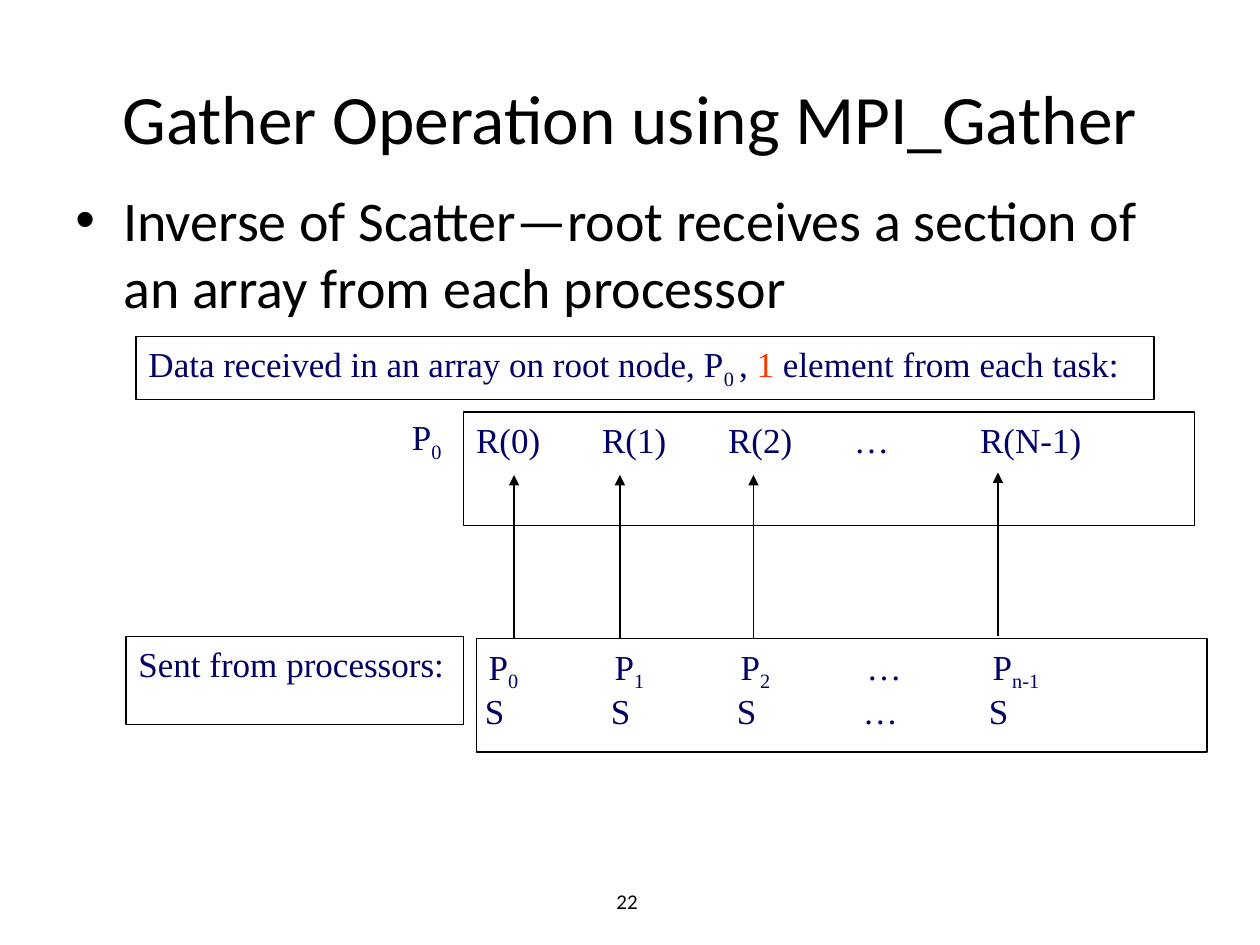
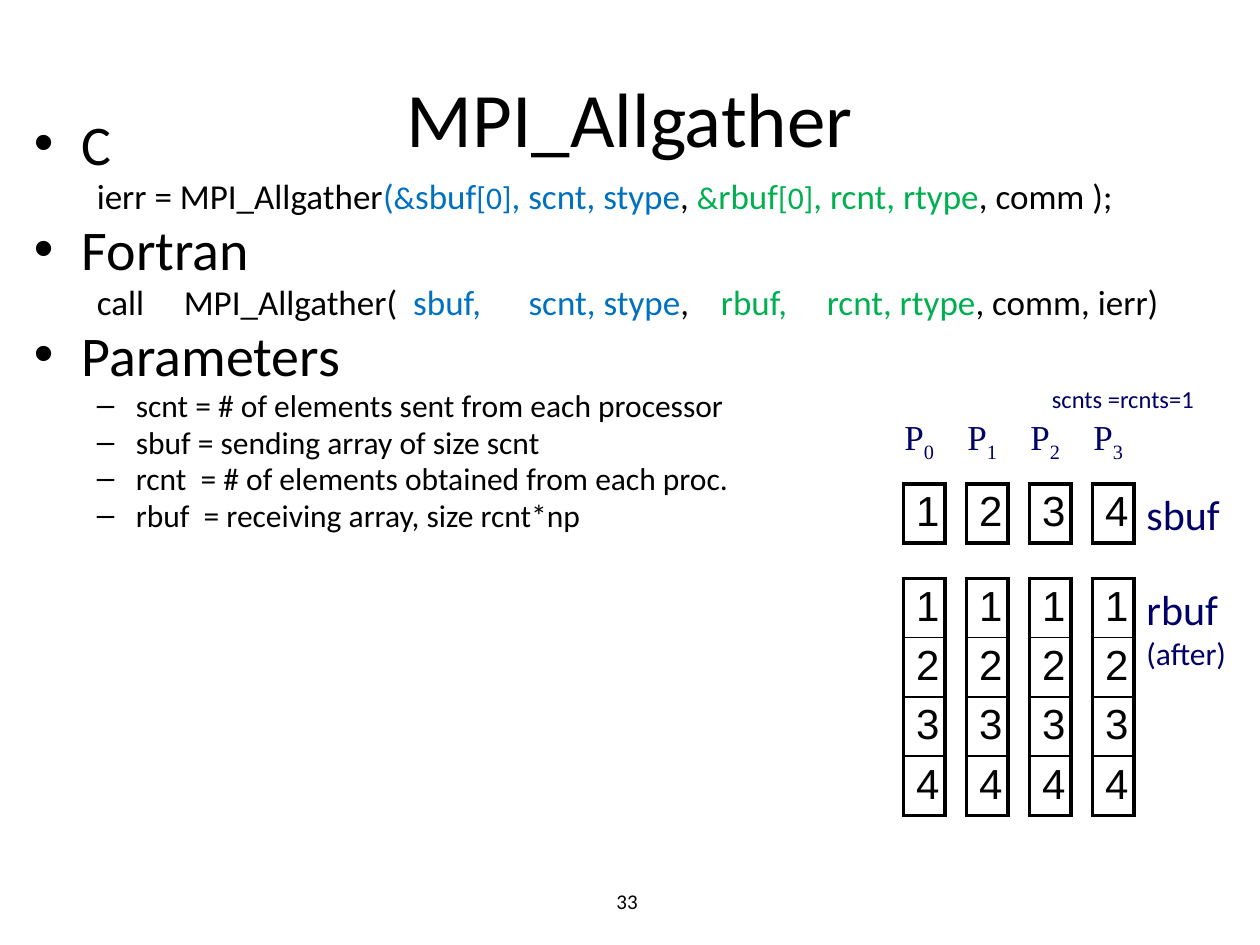
"""Builds two slides on the MPI gather and allgather operations."""
import pptx
import pptx.dml.color
import pptx.enum.shapes
import pptx.enum.text
import pptx.oxml
import pptx.oxml.ns
import pptx.util
from pptx.util import Inches

COLORS = {"ink": "000000", "paper": "FFFFFF", "navy": "000066",
          "red": "FF3300", "send": "0070C0", "receive": "00B050"}
BODY = {"name": "Calibri", "size": 32, "color": "ink"}
CODE = {**BODY, "size": 20}
DETAIL = {**BODY, "size": 18}
DIAGRAM = {"name": "Times New Roman", "size": 20, "color": "navy"}
LABEL = {"name": "Calibri", "size": 24, "color": "navy"}
DIGIT = {"name": "Arial", "size": 24, "color": "ink"}
NUMBER = {"name": "Calibri", "size": 12, "color": "ink"}
SUB = {"baseline": "-25000"}
SEND, RECEIVE = {"color": "send"}, {"color": "receive"}
NARROW, MEDIUM, WIDE, WIDEST = [(" ", {"spc": str(452 * extra)}) for extra in (1, 3, 4, 5)]
NS = pptx.oxml.ns.nsdecls("a")
ALIGN = pptx.enum.text.PP_ALIGN
ANCHOR = pptx.enum.text.MSO_ANCHOR
RGB = pptx.dml.color.RGBColor.from_string


def write(paragraph, style, *pieces):
    """Adds runs; a piece is a string or a (string, changes) pair."""
    for piece in pieces:
        words, changes = (piece, {}) if isinstance(piece, str) else piece
        look = {**style, **changes}
        run = paragraph.add_run()
        run.text = words
        for key, value in {"name": look["name"], "size": pptx.util.Pt(look["size"])}.items():
            setattr(run.font, key, value)
        run.font.color.rgb = RGB(COLORS[look["color"]])
        for key in ("baseline", "spc"):
            if key in look:
                run._r.get_or_add_rPr().set(key, look[key])


def add_box(slide, at, framed=False):
    """Adds a text box, or a white box with a thin outline."""
    place = [Inches(length) for length in at]
    if framed:
        box = slide.shapes.add_shape(pptx.enum.shapes.MSO_SHAPE.RECTANGLE, *place)
        box.shadow.inherit = False
        box.fill.solid()
        box.fill.fore_color.rgb = RGB(COLORS["paper"])
        box.line.color.rgb = RGB(COLORS["ink"])
        box.line.width = pptx.util.Pt(0.75)
    else:
        box = slide.shapes.add_textbox(*place)
    frame = box.text_frame
    for key, value in {"word_wrap": True, "vertical_anchor": ANCHOR.TOP}.items():
        setattr(frame, key, value)
    frame.paragraphs[0].alignment = ALIGN.LEFT
    return frame


deck = pptx.Presentation()
deck.slide_width, deck.slide_height = Inches(10), Inches(7.5)

slides = []
for heading, size, number in [("Gather Operation using MPI_Gather", 39.6, "22"),
                              ("MPI_Allgather", 44, "33")]:
    slide = deck.slides.add_slide(deck.slide_layouts[5])
    title = slide.shapes.title
    for key, value in {"left": 0.5, "top": 0.3, "width": 9, "height": 1.25}.items():
        setattr(title, key, Inches(value))
    for key, value in {"word_wrap": True, "vertical_anchor": ANCHOR.MIDDLE,
                       "auto_size": pptx.enum.text.MSO_AUTO_SIZE.NONE}.items():
        setattr(title.text_frame, key, value)
    title.text_frame.paragraphs[0].alignment = ALIGN.CENTER
    write(title.text_frame.paragraphs[0], {**BODY, "size": size}, heading)
    page = add_box(slide, (2.83, 6.95, 2.33, 0.4))
    page.vertical_anchor = ANCHOR.MIDDLE
    page.paragraphs[0].alignment = ALIGN.RIGHT
    write(page.paragraphs[0], NUMBER, number)
    slides.append(slide)
gather, allgather = slides

gather_body = [
    (BODY, 0.38, -0.38, "•", ["Inverse of Scatter—root receives a section of an array from each processor"]),
]
allgather_body = [
    (BODY, 0.38, -0.38, "•", ["C"]),
    (CODE, 0.81, -0.31, None, [
        "ierr = MPI_Allgather", ("(", SEND), ("&", {**SEND, "size": 18}), ("sbuf", SEND),
        ("[0]", {**SEND, "size": 18}), (", scnt, stype", SEND), ", ",
        ("&", {**RECEIVE, "size": 18}), ("rbuf", RECEIVE), ("[0]", {**RECEIVE, "size": 18}),
        (", rcnt, rtype", RECEIVE), ", comm );"]),
    (BODY, 0.38, -0.38, "•", ["Fortran"]),
    (CODE, 0.81, -0.31, None, [
        "call", WIDE, "MPI_Allgather(", NARROW, ("sbuf,", SEND), WIDEST, ("scnt, stype", SEND),
        ",", MEDIUM, ("rbuf,", RECEIVE), WIDE, ("rcnt, rtype", RECEIVE), ", comm, ierr)"]),
    (BODY, 0.38, -0.38, "•", ["Parameters"]),
]
for meaning in ["scnt = # of elements sent from each processor",
                "sbuf = sending array of size scnt",
                "rcnt  = # of elements obtained from each proc.",
                "rbuf  = receiving array, size rcnt*np"]:
    allgather_body.append((DETAIL, 0.81, -0.31, "–", [meaning]))

for slide, at, spacing, body in [(gather, (0.5, 1.42, 9, 4.95), 1.0, gather_body),
                                 (allgather, (0.17, 0.92, 9.83, 4.17), 0.8, allgather_body)]:
    frame = add_box(slide, at)
    for index, (style, margin, indent, bullet, pieces) in enumerate(body):
        paragraph = frame.add_paragraph() if index else frame.paragraphs[0]
        for key, value in {"line_spacing": spacing,
                           "space_before": pptx.util.Pt(0.2 * style["size"])}.items():
            setattr(paragraph, key, value)
        settings = paragraph._p.get_or_add_pPr()
        settings.set("marL", str(Inches(margin)))
        settings.set("indent", str(Inches(indent)))
        if bullet:
            settings.append(pptx.oxml.parse_xml(f'<a:buFont {NS} typeface="Arial"/>'))
            settings.append(pptx.oxml.parse_xml(f'<a:buChar {NS} char="{bullet}"/>'))
        write(paragraph, style, *pieces)

for x, tip in [(4.08, 3.77), (4.92, 3.77), (5.98, 3.77), (7.92, 3.75)]:
    arrow = gather.shapes.add_connector(
        pptx.enum.shapes.MSO_CONNECTOR.STRAIGHT,
        Inches(x), Inches(tip + 1.3), Inches(x), Inches(tip))
    arrow.line.color.rgb = RGB(COLORS["ink"])
    arrow.line.width = pptx.util.Pt(0.75)
    arrow.line._get_or_add_ln().append(pptx.oxml.parse_xml(f'<a:tailEnd {NS} type="triangle"/>'))
    arrow._element.spPr.append(pptx.oxml.parse_xml(f"<a:effectLst {NS}/>"))
received_place = len(gather.shapes) - 4

for at, framed, pieces in [
    ((3.68, 3.27, 5.8, 0.9), True, ["R(0)\tR(1)\tR(2)\t…\tR(N-1)"]),
    ((1, 5.05, 2.68, 0.7), True, ["Sent from processors:"]),
    ((1.08, 2.67, 8.08, 0.5), True, [
        "Data received in an array on root node, P", ("0 ", SUB), ", ",
        ("1", {"color": "red"}), " element from each task:"]),
    ((3.78, 5.07, 5.8, 0.9), True, [
        "P", ("0\t", SUB), "P", ("1\t", SUB), "P", ("2", SUB), "\t…\tP", ("n-1", SUB)]),
    ((3.75, 5.42, 5.8, 0.5), False, ["S\tS\tS\t…\tS"]),
    ((3.17, 3.25, 0.5, 0.5), False, ["P", ("0", SUB)]),
]:
    line = add_box(gather, at, framed).paragraphs[0]
    line._p.get_or_add_pPr().set("defTabSz", str(Inches(1)))
    write(line, DIAGRAM, *pieces)
received = gather.shapes[received_place + 4]._element
gather.shapes[received_place]._element.addprevious(received)

for rank in range(4):
    left = 7.17 + 0.5 * rank
    write(add_box(allgather, (left - 0.09, 3.25, 0.5, 0.5)).paragraphs[0],
          DIAGRAM, "P", (str(rank), SUB))
    for top, values in [(3.84, [rank + 1]), (4.59, [1, 2, 3, 4])]:
        buffer = allgather.shapes.add_table(
            len(values), 1, Inches(left), Inches(top),
            Inches(0.33), Inches(0.47 * len(values))).table
        for key in ("first_row", "horz_banding"):
            setattr(buffer, key, False)
        for row, value in enumerate(values):
            cell = buffer.cell(row, 0)
            cell.fill.background()
            for key, margin in {"margin_left": 0.1, "margin_right": 0.04,
                                "margin_top": 0.04, "margin_bottom": 0.03}.items():
                setattr(cell, key, Inches(margin))
            write(cell.text_frame.paragraphs[0], DIGIT, str(value))
            widths = {"lnL": 2.25, "lnR": 2.25, "lnT": 1 if row else 2.25,
                      "lnB": 1 if row < len(values) - 1 else 2.25}
            for position, (edge, width) in enumerate(widths.items()):
                cell._tc.get_or_add_tcPr().insert(position, pptx.oxml.parse_xml(
                    f'<a:{edge} {NS} w="{pptx.util.Pt(width)}"><a:solidFill>'
                    f'<a:srgbClr val="{COLORS["ink"]}"/></a:solidFill></a:{edge}>'))

for at, lines in [((9, 3.83, 0.9, 0.5), [("sbuf", 24)]),
                  ((9, 4.58, 0.91, 0.8), [("rbuf", 24), ("(after)", 18)]),
                  ((8.25, 3, 1.57, 0.33), [("scnts =rcnts=1", 14)])]:
    frame = add_box(allgather, at)
    for index, (words, size) in enumerate(lines):
        paragraph = frame.add_paragraph() if index else frame.paragraphs[0]
        write(paragraph, {**LABEL, "size": size}, words)

deck.save("out.pptx")
